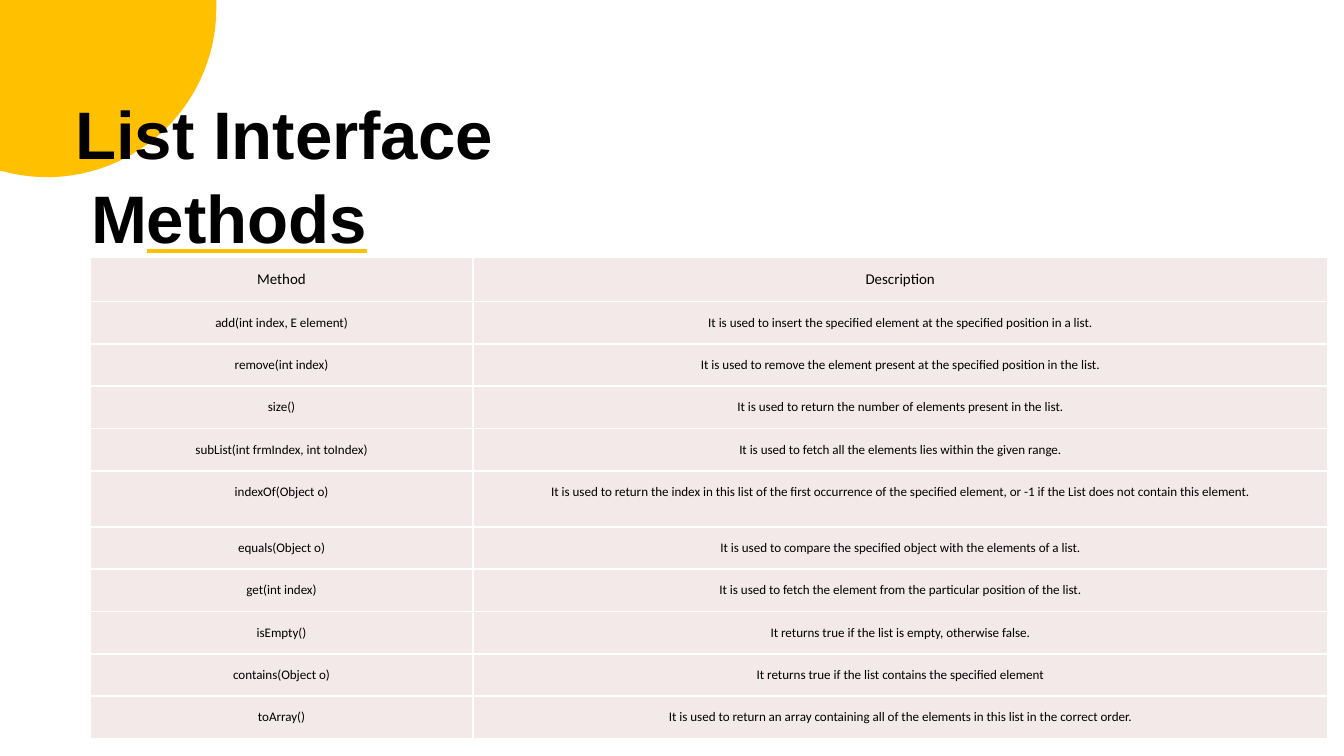
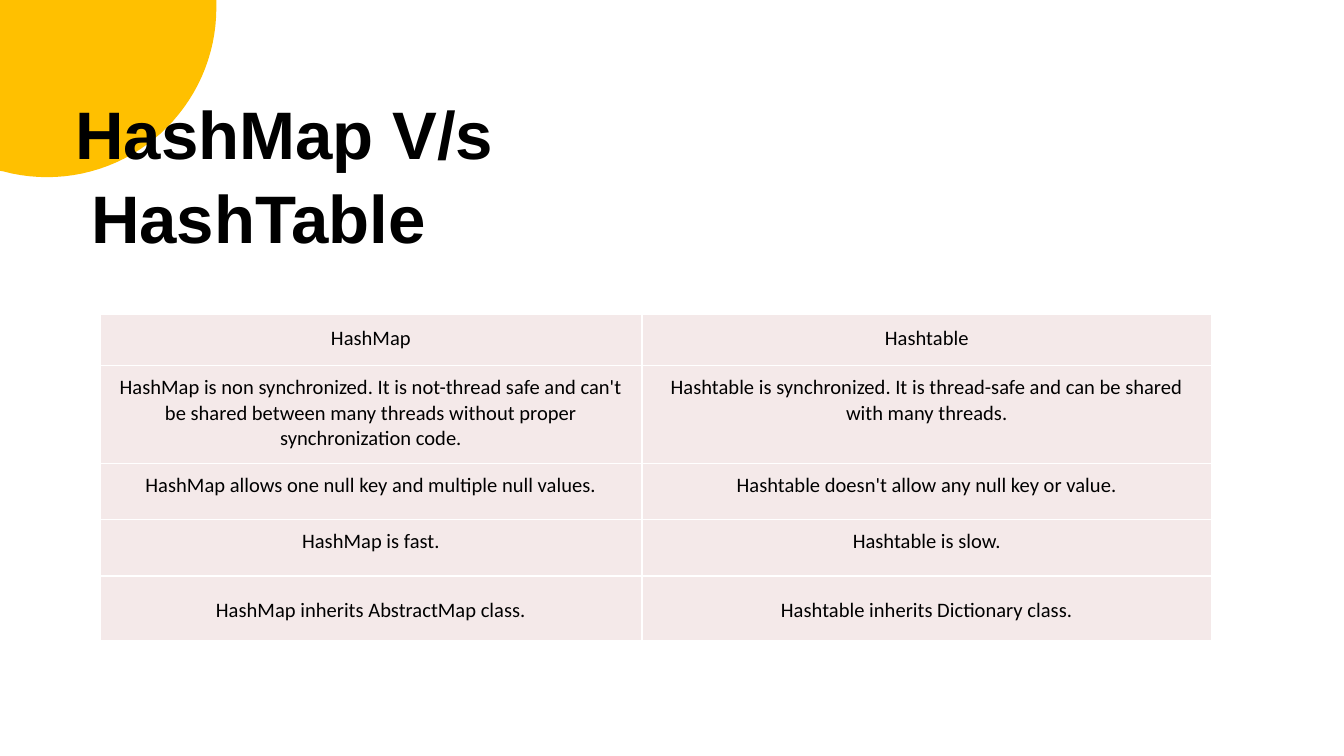
"""Build two slides on Java collections: List methods, and HashMap against HashTable."""
from dataclasses import dataclass
from math import cos, radians, sin

from lxml.etree import SubElement
from pptx import Presentation
from pptx.dml.color import RGBColor as RGB
from pptx.enum.text import MSO_ANCHOR as Anchor, MSO_AUTO_SIZE as AutoSize, PP_ALIGN as Align
from pptx.oxml.ns import qn
from pptx.util import Cm, Pt


@dataclass(frozen=True)
class Theme:
    accent: str = "FFC000"
    cell: str = "F4E9E9"
    border: str = "FFFFFF"
    ink: str = "000000"
    title_font: str = "Arial"
    body_font: str = "Calibri"
    title_size: float = 36
    border_width: float = 1


theme = Theme()


def style_font(font, name, size, bold=False):
    font.name, font.size, font.bold = name, Pt(size), bold
    font.color.rgb = RGB.from_string(theme.ink)


def add_solid(parent, tag, color, **attributes):
    holder = SubElement(parent, qn(tag), **attributes)
    fill = SubElement(holder, qn("a:solidFill"))
    SubElement(fill, qn("a:srgbClr"), val=color)


list_methods = [
    ("Method", "Description"),
    ("add(int index, E element)",
     "It is used to insert the specified element at the specified position in a list."),
    ("remove(int index)",
     "It is used to remove the element present at the specified position in the list."),
    ("size()", "It is used to return the number of elements present in the list."),
    ("subList(int frmIndex, int toIndex)",
     "It is used to fetch all the elements lies within the given range."),
    ("indexOf(Object o)",
     "It is used to return the index in this list of the first occurrence of the specified "
     "element, or -1 if the List does not contain this element."),
    ("equals(Object o)", "It is used to compare the specified object with the elements of a list."),
    ("get(int index)", "It is used to fetch the element from the particular position of the list."),
    ("isEmpty()", "It returns true if the list is empty, otherwise false."),
    ("contains(Object o)", "It returns true if the list contains the specified element"),
    ("toArray()",
     "It is used to return an array containing all of the elements in this list in the correct order."),
]
map_differences = [
    ("HashMap", "Hashtable"),
    ("HashMap is non synchronized. It is not-thread safe and can't\n"
     "be shared between many threads without proper\nsynchronization code.",
     "Hashtable is synchronized. It is thread-safe and can be shared\nwith many threads."),
    ("HashMap allows one null key and multiple null values.",
     "Hashtable doesn't allow any null key or value."),
    ("HashMap is fast.", "Hashtable is slow."),
    ("HashMap inherits AbstractMap class.", "Hashtable inherits Dictionary class."),
]

topics = [
    dict(title=[("List Interface M", False), ("ethods", True)], rows=list_methods,
         corner=(1.7, 4.87), widths=(7.24, 16.15),
         heights=[0.83] + [0.8] * 4 + [1.06] + [0.8] * 5,
         insets=[0.23] + [0.25] * 10, sizes=[8] + [7] * 10),
    dict(title=[("HashMap V/s HashTable", False)], rows=map_differences,
         corner=(1.89, 5.93), widths=(10.24, 10.77),
         heights=[0.98, 1.85, 1.06, 1.07, 1.23],
         insets=[0.23, 0.18, 0.18, 0.18, 0.41], sizes=[11] * 5),
]

center_x, center_y, radius = 0.89, 0.15, 3.2
sun_edge = [(Cm(center_x + radius * cos(radians(angle))), Cm(center_y + radius * sin(radians(angle))))
            for angle in range(0, 106, 3)]
sun_edge += [(0, Cm(3.23)), (0, 0)]

deck = Presentation()
deck.slide_width, deck.slide_height = Cm(25.4), Cm(14.29)

for topic in topics:
    slide = deck.slides.add_slide(deck.slide_layouts[5])

    outline = slide.shapes.build_freeform(Cm(4.09), 0)
    outline.add_line_segments(sun_edge, close=True)
    sun = outline.convert_to_shape()
    sun.shadow.inherit = False
    sun.fill.solid()
    sun.fill.fore_color.rgb = RGB.from_string(theme.accent)
    sun.line.fill.background()
    slide.shapes._spTree.insert(2, sun._element)

    heading = slide.shapes.title
    heading.left, heading.top, heading.width, heading.height = Cm(1.42), Cm(1.6), Cm(7.98), Cm(3.12)
    frame = heading.text_frame
    frame.word_wrap, frame.auto_size = True, AutoSize.SHAPE_TO_FIT_TEXT
    frame.vertical_anchor = Anchor.TOP
    frame.margin_left = frame.margin_right = frame.margin_bottom = 0
    frame.margin_top = Cm(0.06)
    line = frame.paragraphs[0]
    line.alignment, line.line_spacing = Align.LEFT, 1.05
    hanging = line._p.get_or_add_pPr()
    hanging.set("marL", str(Cm(0.3)))
    hanging.set("indent", str(-Cm(0.3)))
    for words, underlined in topic["title"]:
        run = line.add_run()
        run.text = words
        if underlined:
            run.font.underline = True
            add_solid(run._r.get_or_add_rPr(), "a:uFill", theme.accent)
        style_font(run.font, theme.title_font, theme.title_size, bold=True)

    rows, widths, heights = topic["rows"], topic["widths"], topic["heights"]
    left, top = topic["corner"]
    grid = slide.shapes.add_table(len(rows), len(widths), Cm(left), Cm(top),
                                  Cm(sum(widths)), Cm(sum(heights))).table
    grid.first_row = grid.horz_banding = False
    for column, width in zip(grid.columns, widths):
        column.width = Cm(width)
    for row, entries, height, inset, size in zip(grid.rows, rows, heights,
                                                 topic["insets"], topic["sizes"]):
        row.height = Cm(height)
        for cell, entry in zip(row.cells, entries):
            cell.margin_left = cell.margin_right = cell.margin_bottom = 0
            cell.margin_top = Cm(inset)
            cell.vertical_anchor = Anchor.TOP
            for side in ("a:lnL", "a:lnR", "a:lnT", "a:lnB"):
                add_solid(cell._tc.get_or_add_tcPr(), side, theme.border,
                          w=str(Pt(theme.border_width)))
            cell.fill.solid()
            cell.fill.fore_color.rgb = RGB.from_string(theme.cell)
            paragraph = cell.text_frame.paragraphs[0]
            paragraph.alignment = Align.CENTER
            for number, words in enumerate(entry.split("\n")):
                if number:
                    paragraph.add_line_break()
                run = paragraph.add_run()
                run.text = words
                style_font(run.font, theme.body_font, size)

deck.save("out.pptx")
